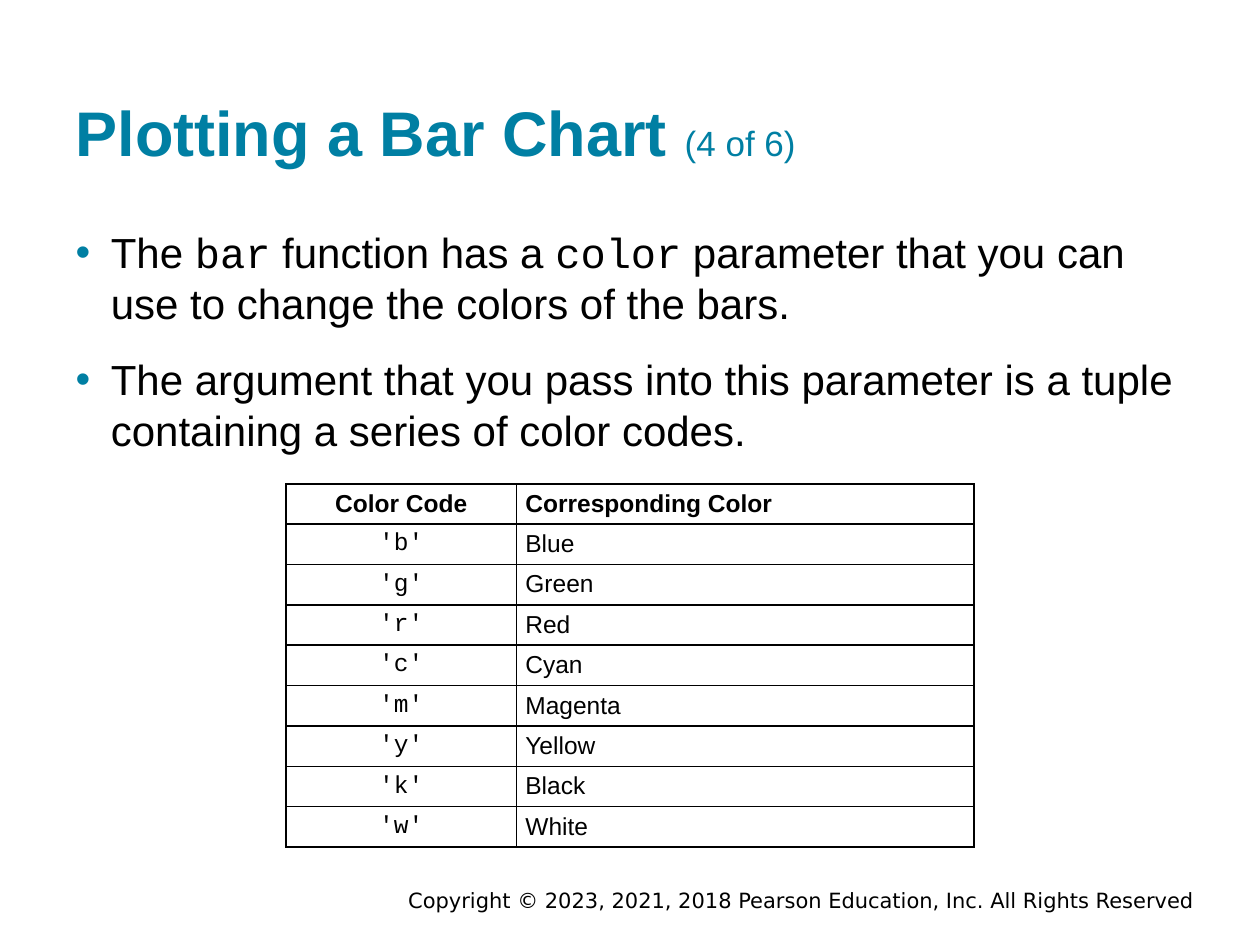
import pptx
import pptx.dml.color
import pptx.enum.text
import pptx.oxml
import pptx.oxml.ns
import pptx.util

Inches, Pt = pptx.util.Inches, pptx.util.Pt
ALIGN, ANCHOR = pptx.enum.text.PP_ALIGN, pptx.enum.text.MSO_ANCHOR
TEAL, BLACK, WHITE = "007FA3", "000000", "FFFFFF"
SANS, MONO = "Arial", "Courier New"
MARGIN, CONTENT_WIDTH = 0.5, 9
COLUMN_WIDTHS, ROW_HEIGHT = (1.83, 3.63), 0.31

BULLETS = [
    [("The ", SANS), ("bar", MONO), (" function has a ", SANS), ("color", MONO),
     (" parameter that you can use to change the colors of the bars.", SANS)],
    [("The argument that you pass into this parameter is a tuple "
      "containing a series of color codes.", SANS)],
]
COLOR_NAMES = {"b": "Blue", "g": "Green", "r": "Red", "c": "Cyan",
               "m": "Magenta", "y": "Yellow", "k": "Black", "w": "White"}


def color(hex_value):
    return pptx.dml.color.RGBColor.from_string(hex_value)


def add_text(paragraph, text, font=SANS, size=24, fill=BLACK, bold=False):
    run = paragraph.add_run()
    run.text = text
    run.font.name, run.font.size, run.font.bold = font, Pt(size), bold
    run.font.color.rgb = color(fill)


def place(shape, left, top, width, height):
    shape.left, shape.top = Inches(left), Inches(top)
    shape.width, shape.height = Inches(width), Inches(height)


def set_frame(frame, anchor, horizontal=0.1, vertical=0.1):
    frame.word_wrap = True
    frame.auto_size = pptx.enum.text.MSO_AUTO_SIZE.NONE
    frame.vertical_anchor = anchor
    frame.margin_left = frame.margin_right = Inches(horizontal)
    frame.margin_top = frame.margin_bottom = Inches(vertical)


def add_xml(parent, xml):
    namespace = pptx.oxml.ns.nsdecls("a")
    parent.append(pptx.oxml.parse_xml(xml.replace(" NS", " " + namespace, 1)))


def set_bullet(paragraph, indent=0.28):
    properties = paragraph._p.get_or_add_pPr()
    properties.set("marL", str(Inches(indent)))
    properties.set("indent", str(-Inches(indent)))
    add_xml(properties, f'<a:buClr NS><a:srgbClr val="{TEAL}"/></a:buClr>')
    add_xml(properties, f'<a:buFont NS typeface="{SANS}"/>')
    add_xml(properties, '<a:buChar NS char="•"/>')


def fill_title(title):
    place(title, MARGIN, 0.24, CONTENT_WIDTH, 1.2)
    set_frame(title.text_frame, ANCHOR.BOTTOM)
    paragraph = title.text_frame.paragraphs[0]
    paragraph.alignment = ALIGN.LEFT
    add_text(paragraph, "Plotting a Bar Chart ", size=36, fill=TEAL, bold=True)
    add_text(paragraph, "(4 of 6)", size=20, fill=TEAL)


def fill_body(body):
    place(body, MARGIN, 1.7, CONTENT_WIDTH, 1.97)
    frame = body.text_frame
    set_frame(frame, ANCHOR.TOP)
    for index, runs in enumerate(BULLETS):
        paragraph = frame.add_paragraph() if index else frame.paragraphs[0]
        paragraph.space_before = Pt(15 if index else 0)
        set_bullet(paragraph)
        for text, font in runs:
            add_text(paragraph, text, font=font)


def format_cell(cell, text, alignment, **text_format):
    cell.margin_left = cell.margin_right = Inches(0.07)
    cell.margin_top = cell.margin_bottom = Inches(0.05)
    # Borders come before the fill in the cell properties
    for side in ("lnL", "lnR", "lnT", "lnB"):
        add_xml(cell._tc.get_or_add_tcPr(),
                f'<a:{side} NS w="{Pt(1)}"><a:solidFill><a:srgbClr val="{BLACK}"/>'
                f'</a:solidFill></a:{side}>')
    cell.fill.solid()
    cell.fill.fore_color.rgb = color(WHITE)
    paragraph = cell.text_frame.paragraphs[0]
    paragraph.alignment = alignment
    add_text(paragraph, text, size=14, **text_format)


def add_color_table(slide):
    row_count = len(COLOR_NAMES) + 1
    table = slide.shapes.add_table(
        row_count, len(COLUMN_WIDTHS), Inches(2.27), Inches(3.84),
        Inches(sum(COLUMN_WIDTHS)), Inches(ROW_HEIGHT * row_count)).table
    for column, width in zip(table.columns, COLUMN_WIDTHS):
        column.width = Inches(width)
    rows = [("Color Code", "Corresponding Color")]
    rows += [(f"'{code}'", name) for code, name in COLOR_NAMES.items()]
    for index, (code, name) in enumerate(rows):
        header = index == 0
        format_cell(table.cell(index, 0), code, ALIGN.CENTER,
                    font=SANS if header else MONO, bold=header)
        format_cell(table.cell(index, 1), name, ALIGN.LEFT, bold=header)


def add_copyright(slide):
    box = slide.shapes.add_textbox(Inches(1.75), Inches(7.03), Inches(7.83), Inches(0.22))
    set_frame(box.text_frame, ANCHOR.MIDDLE, vertical=0.05)
    paragraph = box.text_frame.paragraphs[0]
    paragraph.alignment = ALIGN.RIGHT
    add_text(paragraph, "Copyright © 2023, 2021, 2018 Pearson Education, Inc. "
             "All Rights Reserved", font="DejaVu Sans", size=12)


def main():
    presentation = pptx.Presentation()
    presentation.slide_width, presentation.slide_height = Inches(10), Inches(7.5)
    slide = presentation.slides.add_slide(presentation.slide_layouts[1])
    slide.background.fill.solid()
    slide.background.fill.fore_color.rgb = color(WHITE)
    add_copyright(slide)
    fill_title(slide.shapes.title)
    fill_body(slide.placeholders[1])
    add_color_table(slide)
    presentation.save("out.pptx")


if __name__ == "__main__":
    main()
